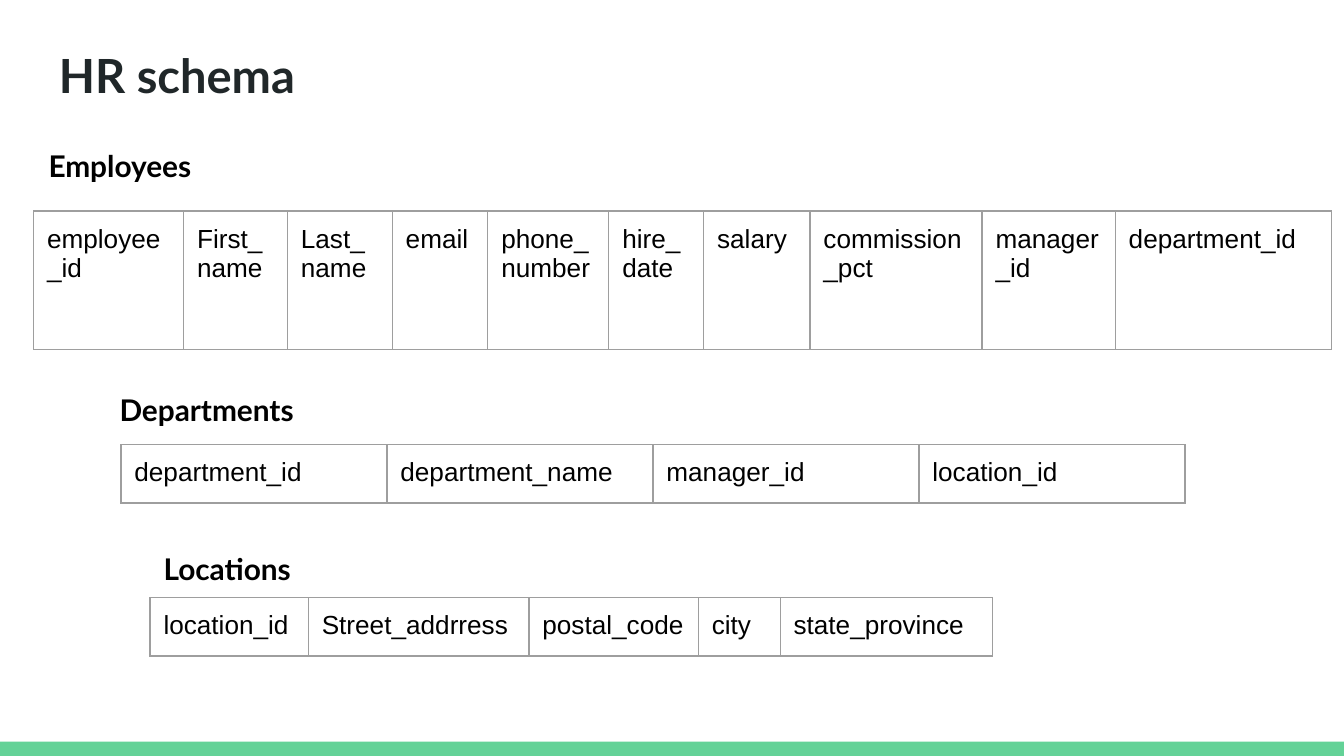
import pptx
import pptx.dml.color
import pptx.enum.shapes
import pptx.oxml
import pptx.oxml.ns
import pptx.util

Pt = pptx.util.Pt

SLIDE_WIDTH, SLIDE_HEIGHT = 720, 405
INSET = 7.2
BAR_HEIGHT = 7.6
GREEN, DARK, BLACK, GRAY = "63D297", "202729", "000000", "9E9E9E"

TITLE = "HR schema"

# Each relation: name, label box (left, top, width), table (left, top, row height),
# and its columns with their widths.
RELATIONS = [
    ("Employees", (18.9, 72, 99.4), (18, 113, 74.4), [
        ("employee_id", 80.4), ("First_name", 55.6), ("Last_name", 56.2),
        ("email", 51.2), ("phone_number", 64.8), ("hire_date", 50.8),
        ("salary", 57), ("commission_pct", 92.2), ("manager_id", 71.4),
        ("department_id", 115.8)]),
    ("Departments", (57, 202.4, 578.2), (64.8, 238.2, 30.4), [
        ("department_id", 142.5), ("department_name", 142.5),
        ("manager_id", 142.5), ("location_id", 142.5)]),
    ("Locations", (80.6, 287.7, 578.2), (80.4, 320.2, 30.4), [
        ("location_id", 84.8), ("Street_addrress", 118.2),
        ("postal_code", 90.8), ("city", 43.8), ("state_province", 113.8)]),
]


def color(value):
    return pptx.dml.color.RGBColor.from_string(value)


def add_run(paragraph, text, font, size, value, bold=False):
    run = paragraph.add_run()
    run.text = text
    run.font.name = font
    run.font.size = Pt(size)
    run.font.bold = bold
    run.font.color.rgb = color(value)


def set_insets(target):
    """Give a text frame or a table cell the same margin on all sides."""
    target.margin_left = target.margin_right = Pt(INSET)
    target.margin_top = target.margin_bottom = Pt(INSET)


def add_heading(slide, text, left, top, width, height, size, value):
    text_box = slide.shapes.add_textbox(Pt(left), Pt(top), Pt(width), Pt(height))
    frame = text_box.text_frame
    frame.word_wrap = True
    set_insets(frame)
    add_run(frame.paragraphs[0], text, "Lato", size, value, bold=True)


def set_borders(cell):
    properties = cell._tc.get_or_add_tcPr()
    for position, side in enumerate(("lnL", "lnR", "lnT", "lnB")):
        properties.insert(position, pptx.oxml.parse_xml(
            f'<a:{side} {pptx.oxml.ns.nsdecls("a")} w="{Pt(0.75)}">'
            f'<a:solidFill><a:srgbClr val="{GRAY}"/></a:solidFill></a:{side}>'))


def add_relation_table(slide, columns, left, top, height):
    width = sum(column_width for _, column_width in columns)
    table = slide.shapes.add_table(
        1, len(columns), Pt(left), Pt(top), Pt(width), Pt(height)).table
    table.first_row = False
    table.horz_banding = False
    for index, (name, column_width) in enumerate(columns):
        table.columns[index].width = Pt(column_width)
        cell = table.cell(0, index)
        set_insets(cell)
        cell.fill.background()
        set_borders(cell)
        add_run(cell.text_frame.paragraphs[0], name, "Arial", 14, BLACK)


def main():
    presentation = pptx.Presentation()
    presentation.slide_width = Pt(SLIDE_WIDTH)
    presentation.slide_height = Pt(SLIDE_HEIGHT)
    slide = presentation.slides.add_slide(presentation.slide_layouts[6])

    bar = slide.shapes.add_shape(
        pptx.enum.shapes.MSO_SHAPE.RECTANGLE, 0, Pt(SLIDE_HEIGHT - BAR_HEIGHT),
        Pt(SLIDE_WIDTH), Pt(BAR_HEIGHT))
    bar.shadow.inherit = False
    bar.fill.solid()
    bar.fill.fore_color.rgb = color(GREEN)
    bar.line.fill.background()

    add_heading(slide, TITLE, 24.5, 17.5, 671, 45, 25.2, DARK)
    for name, label_place, table_place, columns in RELATIONS:
        add_relation_table(slide, columns, *table_place)
        add_heading(slide, name, *label_place, 33.6, 16, BLACK)

    presentation.save("out.pptx")


if __name__ == "__main__":
    main()
